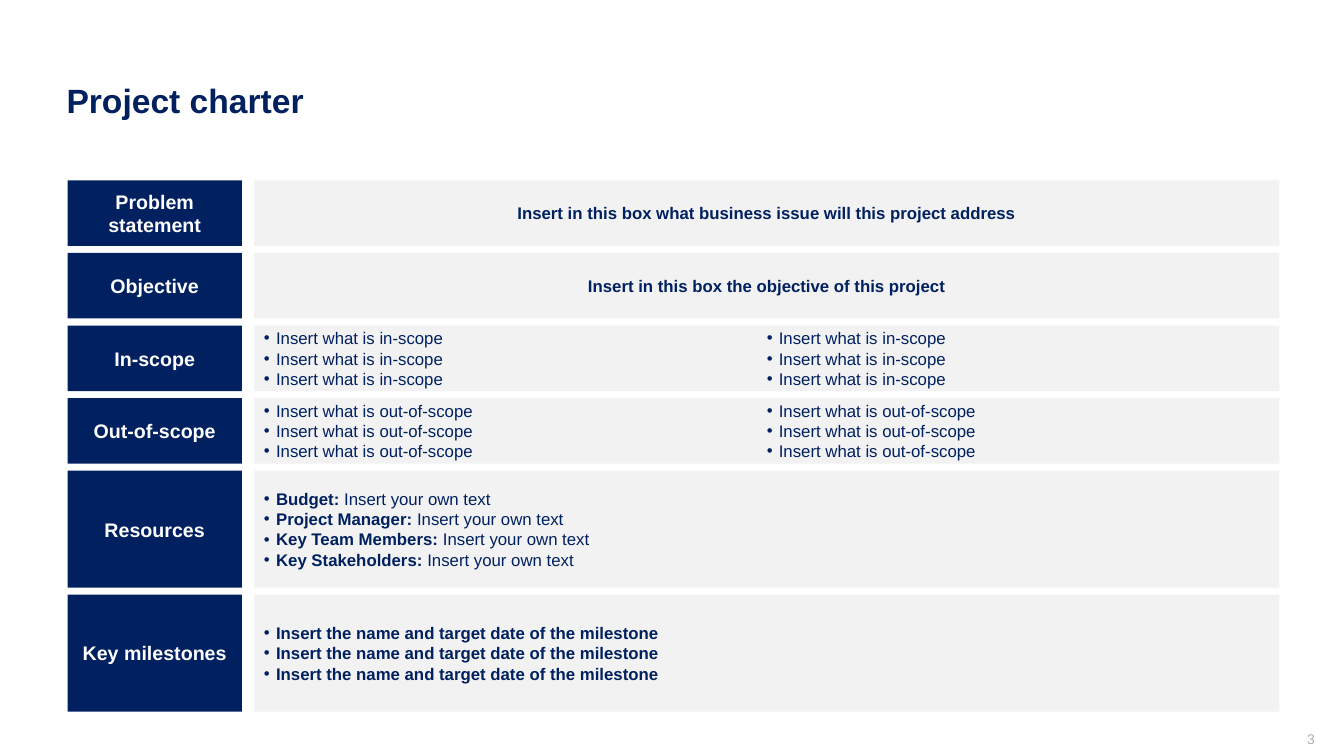
"""Build a project charter slide with labelled rows."""
import pptx
import pptx.dml.color
import pptx.enum.shapes
import pptx.enum.text
import pptx.oxml.ns
import pptx.util
from lxml import etree

Inches = pptx.util.Inches
RGBColor = pptx.dml.color.RGBColor
ALIGN = pptx.enum.text.PP_ALIGN
MIDDLE = pptx.enum.text.MSO_ANCHOR.MIDDLE

NAVY = RGBColor(0x00, 0x20, 0x60)
LIGHT = RGBColor(0xF2, 0xF2, 0xF2)
WHITE = RGBColor(0xFF, 0xFF, 0xFF)
GREY = RGBColor(0xAD, 0xAF, 0xBB)


def add_run(p, text, size, color, bold=False):
    r = p.add_run()
    r.text = text
    r.font.name = "Arial"
    r.font.size = pptx.util.Pt(size)
    r.font.bold = bold
    r.font.color.rgb = color


def add_box(left, top, width, height, fill):
    sp = s.shapes.add_shape(
        pptx.enum.shapes.MSO_SHAPE.RECTANGLE,
        Inches(left), Inches(top), Inches(width), Inches(height))
    sp.shadow.inherit = False
    sp.fill.solid()
    sp.fill.fore_color.rgb = fill
    sp.line.fill.background()
    tf = sp.text_frame
    tf.word_wrap = True
    tf.vertical_anchor = MIDDLE
    return tf


prs = pptx.Presentation()
prs.slide_width = Inches(13.33)
prs.slide_height = Inches(7.5)
s = prs.slides.add_slide(prs.slide_layouts[5])

title = s.shapes.title
title.left, title.top = Inches(0.56), Inches(0.4)
title.width, title.height = Inches(12.11), Inches(1.19)
tf = title.text_frame
tf.vertical_anchor = MIDDLE
p = tf.paragraphs[0]
p.alignment = ALIGN.LEFT
add_run(p, "Project charter", 24, NAVY, True)

tf = s.shapes.add_textbox(Inches(10.04), Inches(7.25), Inches(3), Inches(0.21)).text_frame
tf.word_wrap = True
tf.vertical_anchor = MIDDLE
tf.margin_top = tf.margin_right = 0
p = tf.paragraphs[0]
p.alignment = ALIGN.RIGHT
add_run(p, "3", 10, GREY)

own_text = "Insert your own text"
resources = ["Budget: ", "Project Manager: ", "Key Team Members: ", "Key Stakeholders: "]
rows = [
    ("Problem statement", 0.65, False, 1,
     [("Insert in this box what business issue will this project address", "")]),
    ("Objective", 0.65, False, 1,
     [("Insert in this box the objective of this project", "")]),
    ("In-scope", 0.65, True, 2, [("", "Insert what is in-scope")] * 6),
    ("Out-of-scope", 0.65, True, 2, [("", "Insert what is out-of-scope")] * 6),
    ("Resources", 1.16, True, 1, [(name, own_text) for name in resources]),
    ("Key milestones", 1.16, True, 1,
     [("Insert the name and target date of the milestone", "")] * 3),
]

row_gap = 0.07
top = 1.79
for label, height, bulleted, columns, lines in rows:
    p = add_box(0.67, top, 1.73, height, NAVY).paragraphs[0]
    p.alignment = ALIGN.CENTER
    add_run(p, label, 14, WHITE, True)

    tf = add_box(2.52, top, 10.17, height, LIGHT)
    if columns > 1:
        tf.margin_top = tf.margin_bottom = 0
        tf._txBody.bodyPr.set("numCol", str(columns))
    for i, (bold_text, plain_text) in enumerate(lines):
        p = tf.add_paragraph() if i else tf.paragraphs[0]
        p.alignment = ALIGN.LEFT if bulleted else ALIGN.CENTER
        if bulleted:
            pPr = p._p.get_or_add_pPr()
            pPr.set("marL", str(Inches(0.12)))
            pPr.set("indent", str(Inches(-0.12)))
            font = etree.SubElement(pPr, pptx.oxml.ns.qn("a:buFont"))
            font.set("typeface", "Arial")
            bullet = etree.SubElement(pPr, pptx.oxml.ns.qn("a:buChar"))
            bullet.set("char", "•")
        if bold_text:
            add_run(p, bold_text, 12, NAVY, True)
        if plain_text:
            add_run(p, plain_text, 12, NAVY)
    top += height + row_gap

prs.save("out.pptx")
